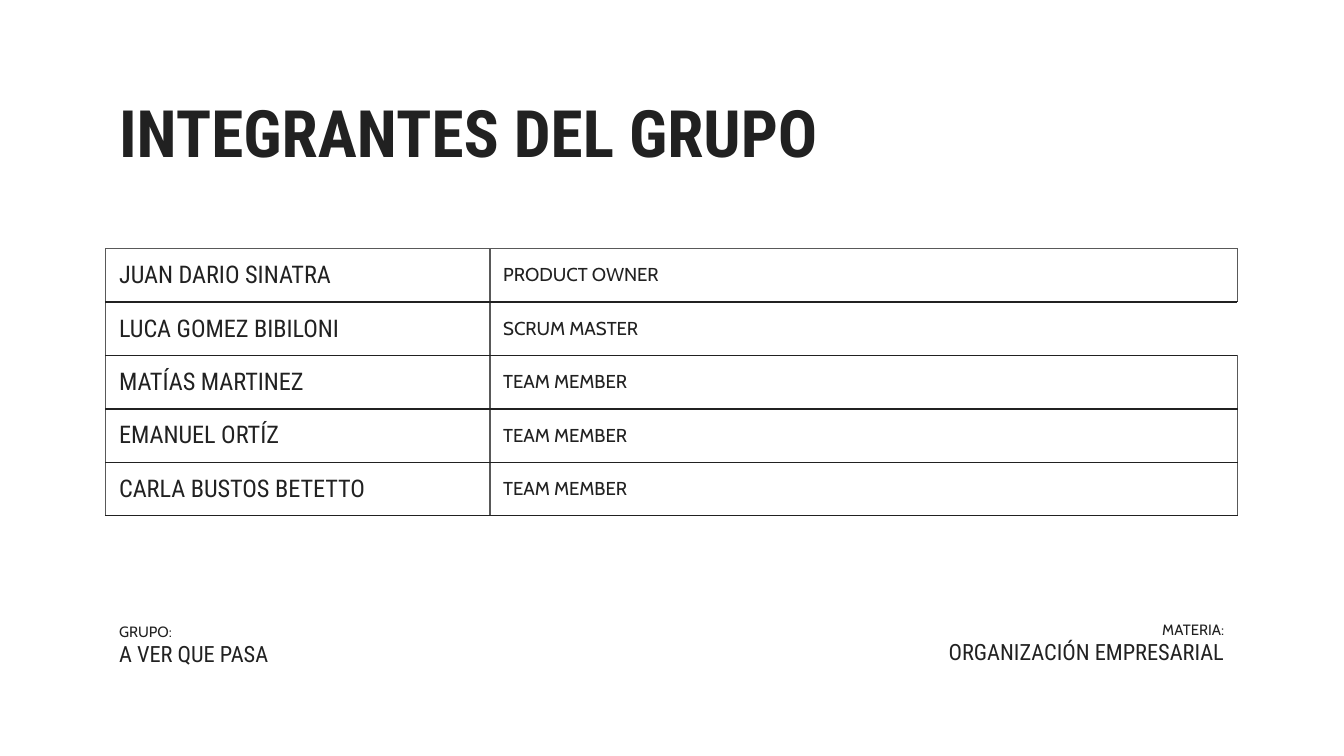
from dataclasses import dataclass

import lxml.etree
import pptx
import pptx.dml.color
import pptx.enum.text
import pptx.oxml.ns
import pptx.shapes.autoshape
import pptx.table
import pptx.text.text
import pptx.util
from pptx.util import Cm

ALIGN = pptx.enum.text.PP_ALIGN
ANCHOR = pptx.enum.text.MSO_ANCHOR


@dataclass(frozen=True)
class Theme:
    ink: str = "212121"
    grid: str = "595959"
    paper: str = "FFFFFF"
    cell_alpha: int = 69
    heading_font: str = "Roboto Condensed"
    body_font: str = "Cabin"
    title_size: float = 35
    name_size: float = 13
    group_size: float = 12
    role_size: float = 10
    label_size: float = 8
    border_width: float = 0.75


@dataclass(frozen=True)
class Member:
    name: str
    role: str
    right_border: str


@dataclass(frozen=True)
class Caption:
    label: str
    value: str
    left: float
    top: float
    align: ALIGN


THEME = Theme()
MARGIN = 2.0
CONTENT_WIDTH = 21.39
NAME_WIDTH = 7.26
ROW_HEIGHT = 1.01
CAPTION_WIDTH = 8.33
INSET = 0.25

MEMBERS = [
    Member("JUAN DARIO SINATRA", "PRODUCT OWNER", THEME.grid),
    Member("LUCA GOMEZ BIBILONI", "SCRUM MASTER", THEME.paper),
    Member("MATÍAS MARTINEZ", "TEAM MEMBER", THEME.grid),
    Member("EMANUEL ORTÍZ", "TEAM MEMBER", THEME.grid),
    Member("CARLA BUSTOS BETETTO", "TEAM MEMBER", THEME.grid),
]
CAPTIONS = [
    Caption("GRUPO:", "A VER QUE PASA", MARGIN, 11.51, ALIGN.LEFT),
    Caption("MATERIA:", "ORGANIZACIÓN EMPRESARIAL",
            MARGIN + CONTENT_WIDTH - CAPTION_WIDTH, 11.48, ALIGN.RIGHT),
]


def rgb(color: str) -> pptx.dml.color.RGBColor:
    return pptx.dml.color.RGBColor.from_string(color)


def write_text(paragraph: pptx.text.text._Paragraph, text: str, *, font: str,
               size: float, bold: bool = False, align: ALIGN = ALIGN.LEFT) -> None:
    paragraph.alignment = align
    run = paragraph.add_run()
    run.text = text
    run.font.name = font
    run.font.size = pptx.util.Pt(size)
    run.font.bold = bold
    run.font.color.rgb = rgb(THEME.ink)


def set_frame(frame: pptx.text.text.TextFrame) -> None:
    """Give a text frame equal insets, top anchoring and wrapping."""
    frame.margin_left = frame.margin_right = Cm(INSET)
    frame.margin_top = frame.margin_bottom = Cm(INSET)
    frame.vertical_anchor = ANCHOR.TOP
    frame.word_wrap = True
    frame.auto_size = pptx.enum.text.MSO_AUTO_SIZE.NONE


def add_child(parent: lxml.etree._Element, tag: str, **attributes: str) -> lxml.etree._Element:
    return lxml.etree.SubElement(parent, pptx.oxml.ns.qn(tag), attributes)


def style_cell(cell: pptx.table._Cell, *, top: str, right: str) -> None:
    """Set the borders before the fill, the order the schema asks for."""
    properties = cell._tc.get_or_add_tcPr()
    sides = {"a:lnL": THEME.grid, "a:lnR": right, "a:lnT": top, "a:lnB": THEME.ink}
    for tag, color in sides.items():
        line = add_child(properties, tag, w=str(pptx.util.Pt(THEME.border_width)))
        add_child(add_child(line, "a:solidFill"), "a:srgbClr", val=color)
    cell.fill.solid()
    cell.fill.fore_color.rgb = rgb(THEME.paper)
    fill_color = properties.find(pptx.oxml.ns.qn("a:solidFill"))[0]
    add_child(fill_color, "a:alpha", val=str(THEME.cell_alpha * 1000))
    cell.vertical_anchor = ANCHOR.MIDDLE
    cell.margin_left = cell.margin_right = Cm(INSET)
    cell.margin_top = cell.margin_bottom = Cm(INSET / 2)


def set_title(title: pptx.shapes.autoshape.Shape) -> None:
    title.left, title.top = Cm(MARGIN), Cm(1.5)
    title.width, title.height = Cm(CONTENT_WIDTH), Cm(1.6)
    set_frame(title.text_frame)
    write_text(title.text_frame.paragraphs[0], "INTEGRANTES DEL GRUPO",
               font=THEME.heading_font, size=THEME.title_size, bold=True)


def add_members(slide: pptx.slide.Slide) -> None:
    table = slide.shapes.add_table(
        len(MEMBERS), 2, Cm(MARGIN), Cm(4.7),
        Cm(CONTENT_WIDTH), Cm(ROW_HEIGHT * len(MEMBERS))).table
    table.first_row = table.horz_banding = False
    table.columns[0].width = Cm(NAME_WIDTH)
    table.columns[1].width = Cm(CONTENT_WIDTH - NAME_WIDTH)
    for index, member in enumerate(MEMBERS):
        table.rows[index].height = Cm(ROW_HEIGHT)
        top = THEME.ink if index else THEME.grid
        name, role = table.rows[index].cells
        style_cell(name, top=top, right=THEME.grid)
        style_cell(role, top=top, right=member.right_border)
        write_text(name.text_frame.paragraphs[0], member.name,
                   font=THEME.heading_font, size=THEME.name_size)
        write_text(role.text_frame.paragraphs[0], member.role,
                   font=THEME.body_font, size=THEME.role_size)


def add_caption(slide: pptx.slide.Slide, caption: Caption) -> None:
    frame = slide.shapes.add_textbox(Cm(caption.left), Cm(caption.top),
                                     Cm(CAPTION_WIDTH), Cm(1.27)).text_frame
    set_frame(frame)
    write_text(frame.paragraphs[0], caption.label, font=THEME.body_font,
               size=THEME.label_size, align=caption.align)
    write_text(frame.add_paragraph(), caption.value, font=THEME.heading_font,
               size=THEME.group_size, align=caption.align)


def main() -> None:
    presentation = pptx.Presentation()
    presentation.slide_width, presentation.slide_height = Cm(25.4), Cm(14.29)
    slide = presentation.slides.add_slide(presentation.slide_layouts[5])
    set_title(slide.shapes.title)
    add_members(slide)
    for caption in CAPTIONS:
        add_caption(slide, caption)
    presentation.save("out.pptx")


if __name__ == "__main__":
    main()
